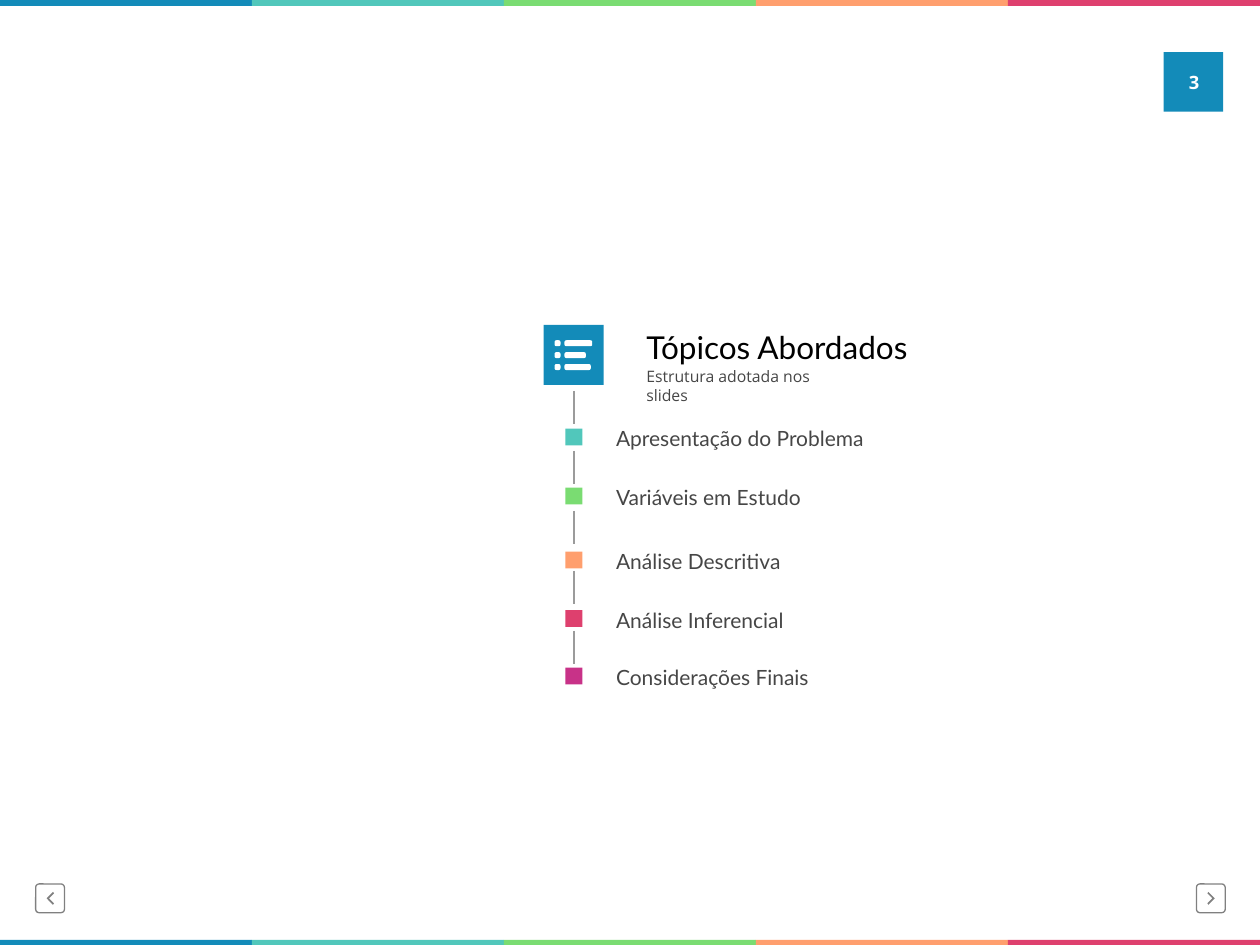
from dataclasses import dataclass

import lxml.etree
import pptx
import pptx.dml.color
import pptx.enum.shapes
import pptx.enum.text
import pptx.oxml.ns
import pptx.util

Cm = pptx.util.Cm
Pt = pptx.util.Pt
Preset = pptx.enum.shapes.MSO_SHAPE
Align = pptx.enum.text.PP_ALIGN
Anchor = pptx.enum.text.MSO_ANCHOR

BLUE, TEAL, GREEN = "138BB9", "51C7BB", "7ADC72"
ORANGE, RED, MAGENTA = "FF9F6E", "DE406E", "C83288"
WHITE, BLACK, DARK, GREY, RULE = "FFFFFF", "000000", "464646", "808080", "9B9B9B"


@dataclass
class Topic:
    label: str
    color: str
    top: float
    width: float


@dataclass
class NavButton:
    left: float
    tip: float
    direction: int


TOPICS = [
    Topic("Apresentação do Problema", TEAL, 8.64, 5.66),
    Topic("Variáveis em Estudo", GREEN, 9.83, 4.39),
    Topic("Análise Descritiva", ORANGE, 11.12, 3.89),
    Topic("Análise Inferencial", RED, 12.3, 3.99),
    Topic("Considerações Finais", MAGENTA, 13.46, 4.6),
]
NAV_BUTTONS = [NavButton(24.12, 24.49, 1), NavButton(0.72, 0.94, -1)]
CHEVRON = [(0, 0), (-0.13, -0.13), (-0.15, -0.1), (-0.05, 0), (-0.15, 0.1), (-0.13, 0.13)]


def rgb(color: str) -> pptx.dml.color.RGBColor:
    return pptx.dml.color.RGBColor.from_string(color)


def paint(shape, color: str) -> None:
    shape.shadow.inherit = False
    shape.fill.solid()
    shape.fill.fore_color.rgb = rgb(color)
    shape.line.fill.background()


def add_block(slide, left: float, top: float, width: float, height: float,
              color: str, preset=Preset.RECTANGLE):
    block = slide.shapes.add_shape(preset, Cm(left), Cm(top), Cm(width), Cm(height))
    paint(block, color)
    return block


def add_label(slide, words: str, left: float, top: float, width: float, height: float,
              size: float, font: str, color: str, wrap: bool = False):
    label = slide.shapes.add_textbox(Cm(left), Cm(top), Cm(width), Cm(height))
    label.text_frame.word_wrap = wrap
    label.text_frame.text = words
    run = label.text_frame.paragraphs[0].runs[0]
    run.font.size = Pt(size)
    run.font.name = font
    run.font.color.rgb = rgb(color)
    return label


def add_stem(slide, x: float, top: float, length: float) -> None:
    stem = slide.shapes.add_connector(
        pptx.enum.shapes.MSO_CONNECTOR.STRAIGHT, Cm(x), Cm(top), Cm(x), Cm(top + length))
    stem.line.color.rgb = rgb(RULE)
    stem.line.width = Pt(1)
    lxml.etree.SubElement(stem._element.spPr, pptx.oxml.ns.qn("a:effectLst"))


def add_color_band(slide, top: float) -> None:
    for index, color in enumerate([BLUE, TEAL, GREEN, ORANGE, RED]):
        add_block(slide, 5.08 * index, top, 5.08, 0.12, color)


def add_nav_button(slide, button: NavButton) -> None:
    frame = add_block(slide, button.left, 17.82, 0.58, 0.58, WHITE, Preset.ROUNDED_RECTANGLE)
    frame.adjustments[0] = 0.12
    frame.fill.background()
    frame.line.color.rgb = rgb(GREY)
    frame.line.width = Pt(0.75)
    points = [(Cm(button.tip + button.direction * x), Cm(18.11 + y)) for x, y in CHEVRON]
    outline = slide.shapes.build_freeform(*points[0])
    outline.add_line_segments(points[1:], close=True)
    paint(outline.convert_to_shape(), GREY)


def add_list_icon(slide) -> None:
    add_block(slide, 10.96, 6.55, 1.21, 1.21, BLUE)
    for row, bar_width in enumerate([0.56, 0.43, 0.53]):
        for left, width in [(11.18, 0.12), (11.38, bar_width)]:
            mark = add_block(slide, left, 6.86 + 0.24 * row, width, 0.12,
                             WHITE, Preset.ROUNDED_RECTANGLE)
            mark.adjustments[0] = 0.3


def add_topic(slide, index: int, topic: Topic) -> None:
    add_stem(slide, 11.57, 7.88 + 1.21 * index, 0.67)
    add_block(slide, 11.4, topic.top, 0.34, 0.34, topic.color)
    add_label(slide, topic.label, 12.17, topic.top - 0.18, topic.width, 0.76, 12, "Lato", DARK)


def main() -> None:
    deck = pptx.Presentation()
    deck.slide_width, deck.slide_height = Cm(25.4), Cm(19.05)
    slide = deck.slides.add_slide(deck.slide_layouts[6])

    for top in (18.95, 0):
        add_color_band(slide, top)
    for button in NAV_BUTTONS:
        add_nav_button(slide, button)

    add_block(slide, 23.46, 1.05, 1.2, 1.2, BLUE)
    page_number = add_label(slide, "3", 23.37, 1.14, 1.4, 1.02, 10.5, "Open Sans", WHITE, wrap=True)
    page_number.text_frame.vertical_anchor = Anchor.MIDDLE
    page_number.text_frame.paragraphs[0].alignment = Align.CENTER
    page_number.text_frame.paragraphs[0].runs[0].font.bold = True

    add_label(slide, "Tópicos Abordados", 12.78, 6.48, 5.99, 1.02, 18, "Lato", BLACK)
    add_label(slide, "Estrutura adotada nos slides", 12.78, 7.26, 4.57, 0.64,
              9, "Open Sans", DARK, wrap=True)
    add_list_icon(slide)
    for index, topic in enumerate(TOPICS):
        add_topic(slide, index, topic)

    deck.save("out.pptx")


if __name__ == "__main__":
    main()
